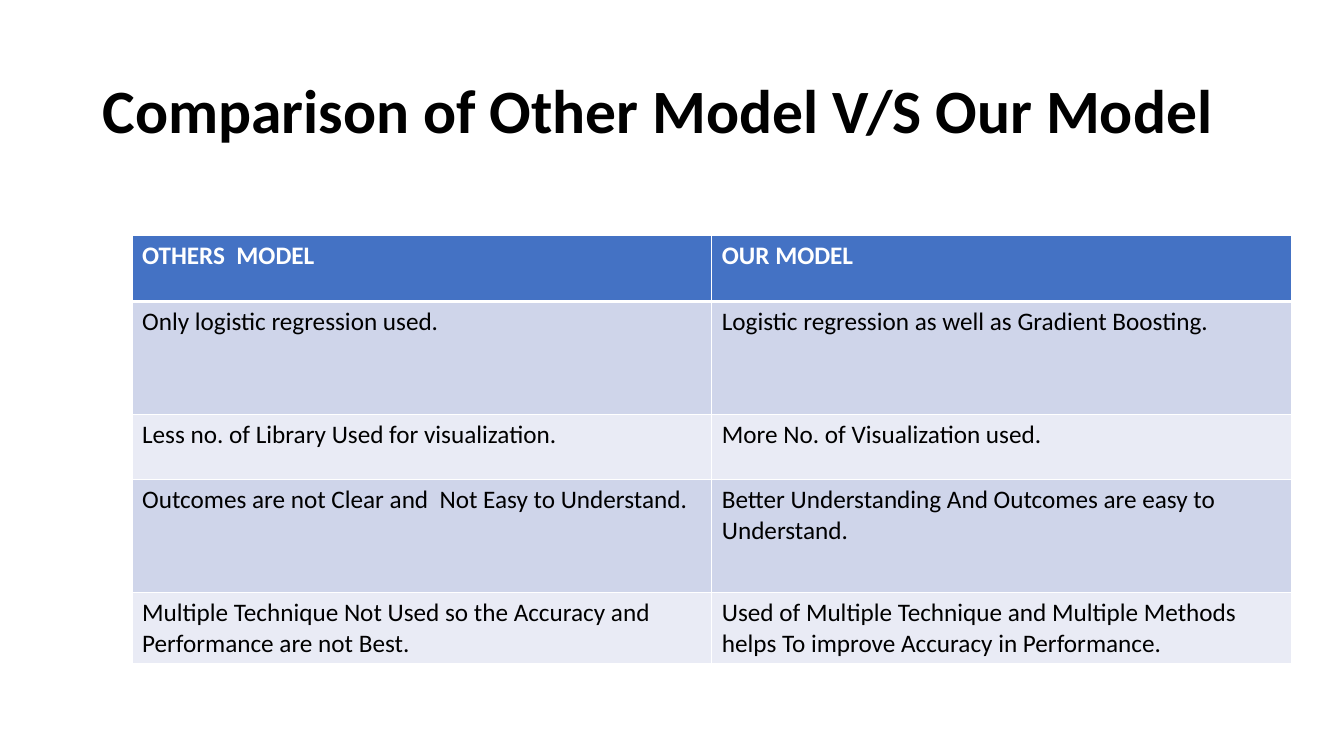
from dataclasses import dataclass

from lxml.etree import SubElement
from pptx import Presentation
from pptx.dml.color import RGBColor
from pptx.enum.text import MSO_ANCHOR
from pptx.oxml.ns import qn
from pptx.slide import Slide
from pptx.table import _Cell
from pptx.util import Inches, Pt


@dataclass(frozen=True)
class Theme:
    font: str = "Calibri"
    title_size: int = 44
    cell_size: int = 18
    text: str = "000000"
    header_text: str = "FFFFFF"
    header_fill: str = "4472C4"
    bands: tuple[str, str] = ("CFD5EA", "E9EBF5")
    border: str = "FFFFFF"
    thin: int = 1
    thick: int = 3


@dataclass(frozen=True)
class ComparisonRow:
    others: str
    ours: str
    height: float


THEME = Theme()
TITLE = "Comparison of Other Model V/S Our Model"
ROWS = [
    ComparisonRow("OTHERS  MODEL", "OUR MODEL", 0.65),
    ComparisonRow("Only logistic regression used.",
                  "Logistic regression as well as Gradient Boosting.", 1.12),
    ComparisonRow("Less no. of Library Used for visualization.",
                  "More No. of Visualization used.", 0.65),
    ComparisonRow("Outcomes are not Clear and  Not Easy to Understand.",
                  "Better Understanding And Outcomes are easy to Understand.", 1.12),
    ComparisonRow("Multiple Technique Not Used so the Accuracy and Performance are not Best.",
                  "Used of Multiple Technique and Multiple Methods helps To improve "
                  "Accuracy in Performance.", 0.65),
]
COLUMN_WIDTH = 5.75


def add_title(slide: Slide) -> None:
    sp = slide.shapes.add_textbox(Inches(0.92), Inches(0.4), Inches(11.5), Inches(1.45))
    tf = sp.text_frame
    tf.word_wrap = True
    tf.vertical_anchor = MSO_ANCHOR.MIDDLE
    p = tf.paragraphs[0]
    p.text = TITLE
    p.line_spacing = 0.9
    p.font.name = THEME.font
    p.font.size = Pt(THEME.title_size)
    p.font.bold = True
    p.font.color.rgb = RGBColor.from_string(THEME.text)


def set_borders(cell: _Cell, top: int, bottom: int) -> None:
    """Draw all four edges; top and bottom are widths in points."""
    tc_pr = cell._tc.get_or_add_tcPr()
    widths = {"a:lnL": THEME.thin, "a:lnR": THEME.thin, "a:lnT": top, "a:lnB": bottom}
    for tag, width in widths.items():
        ln = SubElement(tc_pr, qn(tag), w=str(Pt(width)))
        fill = SubElement(ln, qn("a:solidFill"))
        SubElement(fill, qn("a:srgbClr"), val=THEME.border)


def fill_cell(cell: _Cell, text: str, row: int) -> None:
    is_header = row == 0
    set_borders(cell, top=THEME.thick if row == 1 else THEME.thin,
                bottom=THEME.thick if is_header else THEME.thin)
    cell.fill.solid()
    color = THEME.header_fill if is_header else THEME.bands[(row - 1) % 2]
    cell.fill.fore_color.rgb = RGBColor.from_string(color)
    p = cell.text_frame.paragraphs[0]
    p.text = text
    p.font.name = THEME.font
    p.font.size = Pt(THEME.cell_size)
    p.font.bold = is_header
    p.font.color.rgb = RGBColor.from_string(THEME.header_text if is_header else THEME.text)


def add_comparison(slide: Slide) -> None:
    height = sum(row.height for row in ROWS)
    frame = slide.shapes.add_table(len(ROWS), 2, Inches(1.31), Inches(2.34),
                                   Inches(2 * COLUMN_WIDTH), Inches(height))
    table = frame.table
    for i, row in enumerate(ROWS):
        table.rows[i].height = Inches(row.height)
        for j, text in enumerate((row.others, row.ours)):
            fill_cell(table.cell(i, j), text, i)


def main() -> None:
    prs = Presentation()
    prs.slide_width, prs.slide_height = Inches(13.33), Inches(7.5)
    slide = prs.slides.add_slide(prs.slide_layouts[6])
    add_title(slide)
    add_comparison(slide)
    prs.save("out.pptx")


if __name__ == "__main__":
    main()
